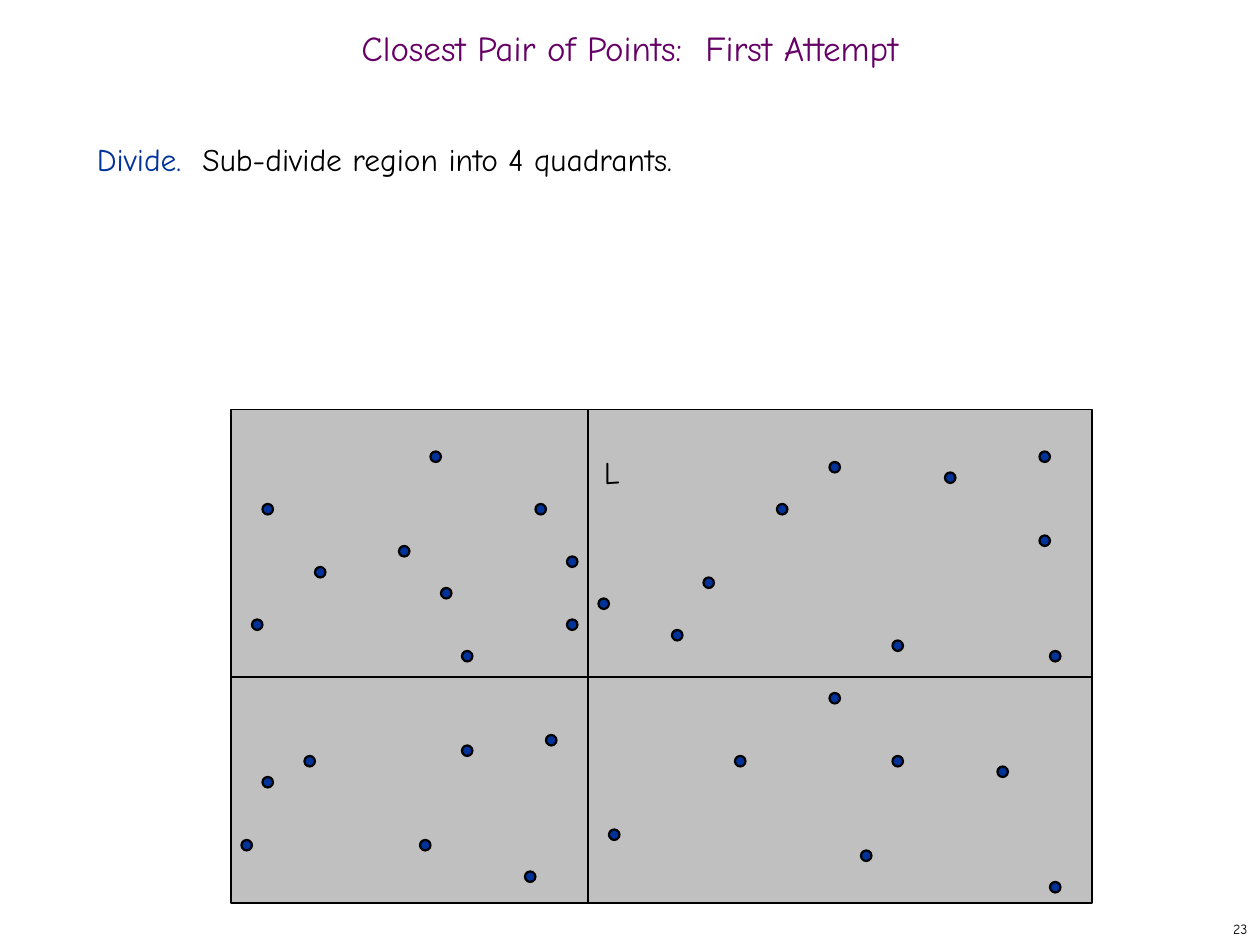
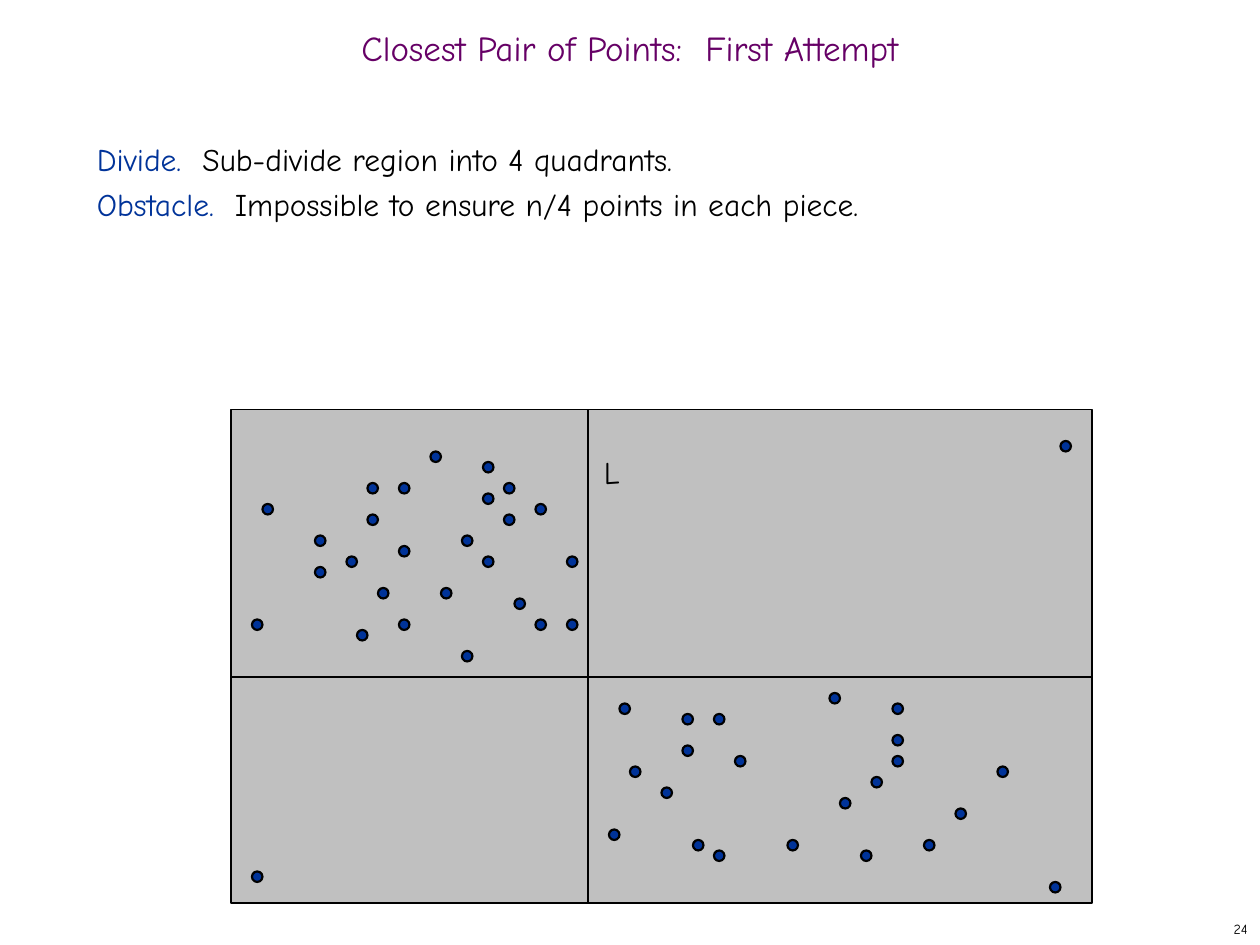
from dataclasses import dataclass

from lxml.etree import SubElement
from pptx import Presentation
from pptx.dml.color import RGBColor
from pptx.enum.shapes import MSO_CONNECTOR, MSO_SHAPE
from pptx.enum.text import MSO_ANCHOR, MSO_AUTO_SIZE, PP_ALIGN
from pptx.oxml.ns import qn
from pptx.util import Inches, Pt


@dataclass(frozen=True)
class Theme:
    font: str = "Comic Neue"
    ink: RGBColor = RGBColor(0x00, 0x00, 0x00)
    title: RGBColor = RGBColor(0x66, 0x00, 0x66)
    accent: RGBColor = RGBColor(0x00, 0x33, 0x99)
    region: RGBColor = RGBColor(0xC0, 0xC0, 0xC0)
    title_size: Pt = Pt(20)
    body_size: Pt = Pt(18)
    number_size: Pt = Pt(8)
    rule: Pt = Pt(1)
    point_rule: Pt = Pt(1.25)


GRID = 12
REGION_LEFT, REGION_TOP, REGION_WIDTH, REGION_HEIGHT = 22, 39, 82, 47
SPLIT_X, SPLIT_Y = 56, 64.5

TITLE = "Closest Pair of Points:  First Attempt"
DIVIDE = ("Divide.  ", "Sub-divide region into 4 quadrants.")
OBSTACLE = ("Obstacle.  ", "Impossible to ensure n/4 points in each piece.")

SHARED_POINTS = [
    (30, 54), (54, 53), (58, 79), (25, 48), (38, 52), (41, 43), (42, 56),
    (51, 48), (100, 84), (24, 59), (44, 62), (54, 59), (70, 72), (79, 66),
    (82, 81), (85, 72), (95, 73),
]
SPREAD_POINTS = [
    (44, 71), (74, 48), (67, 55), (64, 60), (79, 44), (85, 61), (57, 57),
    (52, 70), (25, 74), (29, 72), (50, 83), (23, 80), (40, 80), (99, 51),
    (90, 45), (99, 43), (100, 62),
]
CLUSTERED_POINTS = [
    (44, 51), (75, 80), (38, 46), (49, 57), (80, 76), (68, 68), (59, 67),
    (46, 44), (30, 51), (34, 60), (66, 80), (24, 83), (60, 73), (46, 47),
    (91, 77), (101, 42), (36, 56), (33, 53), (38, 59), (35, 46), (35, 49),
    (83, 74), (88, 80), (85, 67), (85, 70), (46, 53), (51, 59), (48, 46),
    (48, 49), (63, 75), (68, 81), (65, 68), (65, 71),
]


def apply(target, formats):
    for name, value in formats.items():
        setattr(target, name, value)


def grid(*units):
    return [Inches(unit / GRID) for unit in units]


class Deck:
    def __init__(self, theme):
        self.theme = theme
        self.prs = Presentation()
        apply(self.prs, {"slide_width": Inches(10), "slide_height": Inches(7.5)})
        self.s = None

    def new_slide(self):
        self.s = self.prs.slides.add_slide(self.prs.slide_layouts[6])

    def text(self, box, paragraphs, size, frame=None, paragraph=None):
        tf = self.s.shapes.add_textbox(*map(Inches, box)).text_frame
        apply(tf, {"word_wrap": True, **(frame or {})})
        for i, runs in enumerate(paragraphs):
            p = tf.paragraphs[0] if i == 0 else tf.add_paragraph()
            apply(p, paragraph or {})
            for text, color in runs:
                r = p.add_run()
                r.text = text
                apply(r.font, {"name": self.theme.font, "size": size})
                r.font.color.rgb = color

    def shape(self, kind, box, fill, width):
        sp = self.s.shapes.add_shape(kind, *grid(*box))
        sp.shadow.inherit = False
        sp.fill.solid()
        sp.fill.fore_color.rgb = fill
        sp.line.color.rgb = self.theme.ink
        sp.line.width = width

    def line(self, *ends):
        sp = self.s.shapes.add_connector(MSO_CONNECTOR.STRAIGHT, *grid(*ends))
        sp.line.color.rgb = self.theme.ink
        sp.line.width = self.theme.rule
        SubElement(sp._element.spPr, qn("a:effectLst"))

    def title(self, text):
        self.text((0, 0.17, 10, 0.5), [[(text, self.theme.title)]],
                  self.theme.title_size,
                  {"vertical_anchor": MSO_ANCHOR.MIDDLE},
                  {"alignment": PP_ALIGN.CENTER, "line_spacing": 0.7})

    def body(self, statements):
        paragraphs = [[(lead, self.theme.accent), (rest, self.theme.ink)]
                      for lead, rest in statements]
        self.text((0.67, 1, 8.58, 5.92), paragraphs, self.theme.body_size,
                  paragraph={"line_spacing": Pt(26)})

    def region(self):
        self.shape(MSO_SHAPE.RECTANGLE,
                   (REGION_LEFT, REGION_TOP, REGION_WIDTH, REGION_HEIGHT),
                   self.theme.region, self.theme.rule)

    def points(self, positions):
        for x, y in positions:
            self.shape(MSO_SHAPE.OVAL, (x, y, 1, 1),
                       self.theme.accent, self.theme.point_rule)

    def quadrants(self):
        self.line(SPLIT_X, REGION_TOP, SPLIT_X, REGION_TOP + REGION_HEIGHT)
        self.text((4.58, 3.55, 0.55, 0.4), [[("L", self.theme.ink)]],
                  self.theme.body_size,
                  {"auto_size": MSO_AUTO_SIZE.SHAPE_TO_FIT_TEXT},
                  {"alignment": PP_ALIGN.CENTER, "space_before": Pt(11.2)})
        self.line(REGION_LEFT, SPLIT_Y, REGION_LEFT + REGION_WIDTH, SPLIT_Y)

    def number(self, value):
        self.text((7.92, 7.25, 2.08, 0.25), [[(str(value), self.theme.ink)]],
                  self.theme.number_size,
                  {"vertical_anchor": MSO_ANCHOR.MIDDLE},
                  {"alignment": PP_ALIGN.RIGHT})

    def attempt(self, number, statements, positions):
        self.new_slide()
        self.region()
        self.title(TITLE)
        self.body(statements)
        self.points(SHARED_POINTS + positions)
        self.quadrants()
        self.number(number)


def main():
    deck = Deck(Theme())
    deck.attempt(23, [DIVIDE], SPREAD_POINTS)
    deck.attempt(24, [DIVIDE, OBSTACLE], CLUSTERED_POINTS)
    deck.prs.save("out.pptx")


if __name__ == "__main__":
    main()
